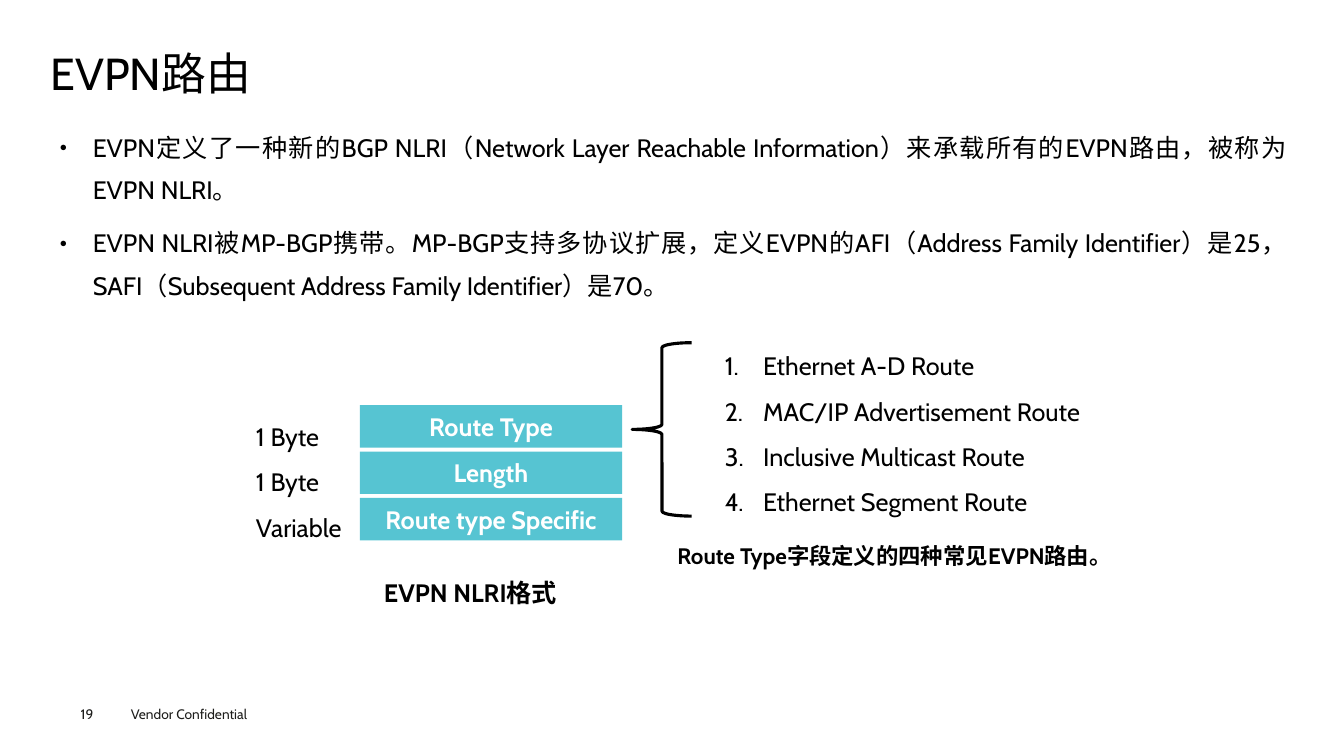
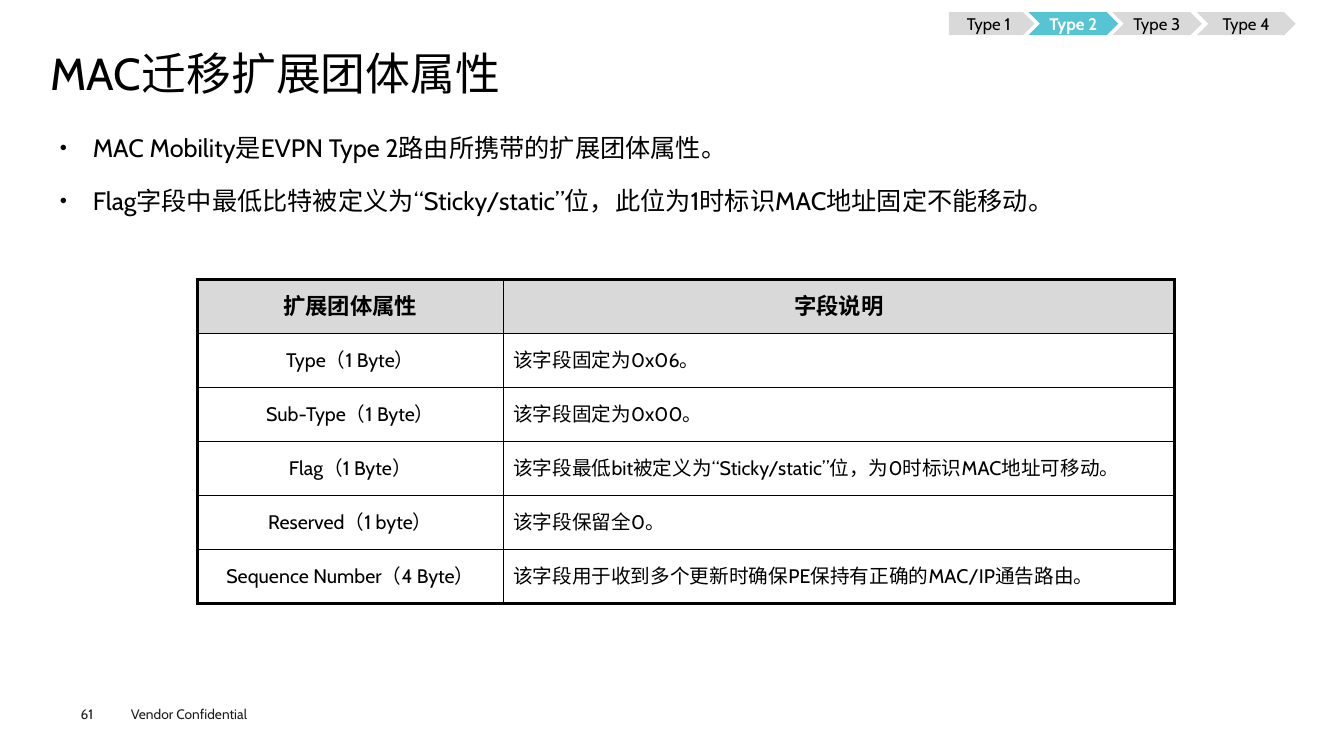
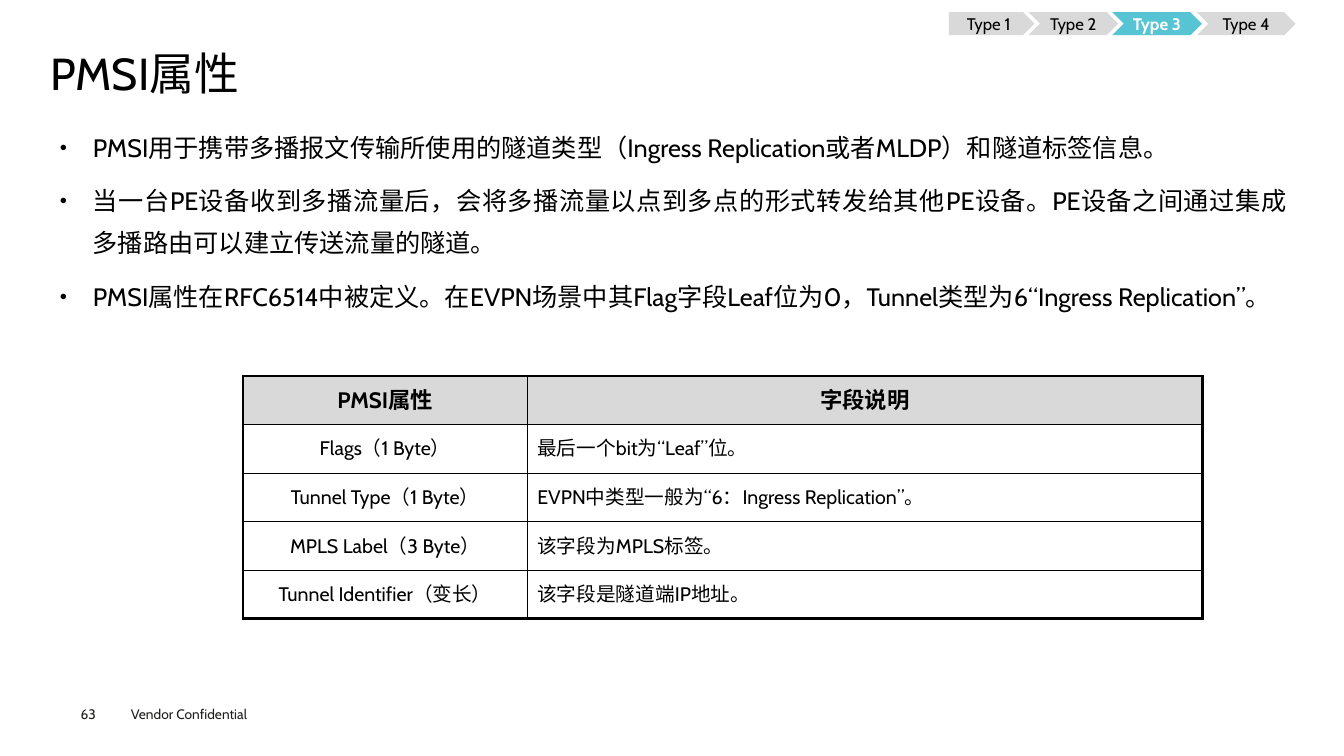
from lxml import etree
from pptx import Presentation
from pptx.dml.color import RGBColor
from pptx.enum.lang import MSO_LANGUAGE_ID
from pptx.enum.shapes import MSO_SHAPE
from pptx.enum.text import MSO_ANCHOR, MSO_AUTO_SIZE, PP_ALIGN
from pptx.oxml.ns import qn
from pptx.util import Pt

LEFT, CENTER, JUSTIFY = PP_ALIGN.LEFT, PP_ALIGN.CENTER, PP_ALIGN.JUSTIFY
TOP, MIDDLE = MSO_ANCHOR.TOP, MSO_ANCHOR.MIDDLE
NO_AUTOFIT = MSO_AUTO_SIZE.NONE
CHINESE = MSO_LANGUAGE_ID.SIMPLIFIED_CHINESE
RECTANGLE, BRACE = MSO_SHAPE.RECTANGLE, MSO_SHAPE.LEFT_BRACE
CHEVRON, PENTAGON = MSO_SHAPE.CHEVRON, MSO_SHAPE.PENTAGON

EMU_PER_PX = 9144
FONT = "Cabin"
BLACK, WHITE, INK = "000000", "FFFFFF", "1D1D1B"
TEAL, GREY = "56C4D2", "D9D9D9"
THIN, THICK = 1, 2.25
DOT = (("buSzPct", {"val": "50000"}), ("buChar", {"char": "●"}))
NUMBER = (("buFont", {"typeface": "+mj-lt"}), ("buAutoNum", {"type": "arabicPeriod"}))
ROUTE_TABS = (
    ("Type 1", PENTAGON, 941, 85),
    ("Type 2", CHEVRON, 1020, 89),
    ("Type 3", CHEVRON, 1103, 89),
    ("Type 4", CHEVRON, 1187, 98),
)


def px(length):
    """Turn pixels into EMU."""
    return length * EMU_PER_PX


def rgb(code):
    """Turn a hex string into a colour."""
    return RGBColor.from_string(code)


def assign(target, values):
    """Set each attribute named in a dict."""
    for name, value in values.items():
        setattr(target, name, value)


class Deck:
    """Hold the shared style, the presentation and the current slide."""

    def __init__(self):
        """Start an empty widescreen presentation."""
        self.presentation = Presentation()
        assign(self.presentation, {"slide_width": px(1333), "slide_height": px(750)})
        self.slide = None

    def new_slide(self, number, title, points, body_height=534):
        """Add a slide with its title, bullet list and footer."""
        self.slide = self.presentation.slides.add_slide(self.presentation.slide_layouts[1])
        heading, body = self.slide.placeholders
        self.place(heading, 50, 49, 1235, 53)
        self.fill_text(heading, [title], size=32, spacing=0.9, anchor=MIDDLE, inset=(0, 0))
        self.place(body, 50, 115, 1235, body_height)
        self.fill_text(body, points, align=JUSTIFY, spacing=1.4, before=7.9,
                       inset=(9, 4), bullet=DOT, indent=33)
        self.text("Vendor Confidential", 120, 695, 160, 27, size=9.8, color=INK)
        self.text(str(number), 80, 700, 55, 16, size=9.8, color=INK, inset=(0, 0))

    def place(self, shape, left, top, width, height):
        """Move and size a shape."""
        assign(shape, {"left": px(left), "top": px(top),
                       "width": px(width), "height": px(height)})

    def fill_text(self, shape, lines, anchor=TOP, inset=(10, 5), **style):
        """Fill the text frame of a shape."""
        frame = shape.text_frame
        side, edge = map(px, inset)
        assign(frame, {"word_wrap": True, "auto_size": NO_AUTOFIT, "vertical_anchor": anchor,
                       "margin_left": side, "margin_right": side,
                       "margin_top": edge, "margin_bottom": edge})
        self.paragraphs(frame, lines, **style)

    def paragraphs(self, frame, lines, size=18, color=BLACK, bold=False, align=LEFT,
                   spacing=1.0, before=0, bullet=(), indent=0):
        """Put formatted paragraphs into a text frame."""
        for index, line in enumerate(lines):
            paragraph = frame.add_paragraph() if index else frame.paragraphs[0]
            properties = paragraph._p.get_or_add_pPr()
            if bullet:
                properties.set("marL", str(px(indent)))
                properties.set("indent", str(-px(indent)))
            for tag, values in bullet:
                etree.SubElement(properties, qn("a:" + tag), values)
            assign(paragraph, {"alignment": align, "line_spacing": spacing,
                               "space_before": Pt(before if index else 0)})
            run = paragraph.add_run()
            run.text = line
            assign(run.font, {"name": FONT, "size": Pt(size), "bold": bold,
                              "language_id": CHINESE})
            run.font.color.rgb = rgb(color)
            etree.SubElement(run._r.get_or_add_rPr(), qn("a:ea"), {"typeface": FONT})

    def text(self, lines, left, top, width, height, **style):
        """Add a text box with one line or a list of lines."""
        box = self.slide.shapes.add_textbox(px(left), px(top), px(width), px(height))
        self.fill_text(box, [lines] if isinstance(lines, str) else lines, **style)

    def block(self, kind, label, left, top, width, height, fill, **style):
        """Add a filled shape with a centred label."""
        shape = self.slide.shapes.add_shape(kind, px(left), px(top), px(width), px(height))
        shape.shadow.inherit = False
        shape.fill.solid()
        shape.fill.fore_color.rgb = rgb(fill)
        shape.line.fill.background()
        self.fill_text(shape, [label], anchor=MIDDLE, align=CENTER, **style)

    def brace(self, left, top, width, height):
        """Add an open brace outline."""
        shape = self.slide.shapes.add_shape(BRACE, px(left), px(top), px(width), px(height))
        shape.shadow.inherit = False
        shape.fill.background()
        shape.line.color.rgb = rgb(BLACK)
        shape.line.width = Pt(THICK)

    def route_tabs(self, current):
        """Add the route type trail with the current type lit."""
        for label, kind, left, width in ROUTE_TABS:
            lit = label == current
            self.block(kind, label, left, 12, width, 23, TEAL if lit else GREY, size=12,
                       color=WHITE if lit else BLACK, bold=lit, inset=(0, 0))

    def border(self, cell, side, width):
        """Draw one border of a table cell."""
        line = etree.SubElement(cell._tc.get_or_add_tcPr(), qn("a:ln" + side),
                                {"w": str(Pt(width))})
        fill = etree.SubElement(line, qn("a:solidFill"))
        etree.SubElement(fill, qn("a:srgbClr"), {"val": BLACK})

    def field_table(self, rows, left, top, widths, height):
        """Add a field table with a grey header and a thick frame."""
        last = len(rows) - 1
        table = self.slide.shapes.add_table(len(rows), len(widths), px(left), px(top),
                                            px(sum(widths)), px(height)).table
        assign(table, {"first_row": False, "horz_banding": False})
        for column, width in zip(table.columns, widths):
            column.width = px(width)
        for r, row in enumerate(rows):
            header = r == 0
            for c, content in enumerate(row):
                cell = table.cell(r, c)
                outer = {"L": c == 0, "R": c == len(widths) - 1, "T": header, "B": r == last}
                for side, framed in outer.items():
                    self.border(cell, side, THICK if framed else THIN)
                if header:
                    cell.fill.solid()
                    cell.fill.fore_color.rgb = rgb(GREY)
                else:
                    cell.fill.background()
                cell.vertical_anchor = MIDDLE
                self.paragraphs(cell.text_frame, [content], size=16 if header else 14,
                                bold=header, align=CENTER if header or c == 0 else LEFT)


def routes(deck):
    """Build the slide on EVPN routes."""
    deck.new_slide(19, "EVPN路由", [
        "EVPN定义了一种新的BGP NLRI（Network Layer Reachable Information）来承载所有的EVPN路由，被称为EVPN NLRI。",
        "EVPN NLRI被MP-BGP携带。MP-BGP支持多协议扩展，定义EVPN的AFI（Address Family Identifier）是25，SAFI（Subsequent Address Family Identifier）是70。",
    ], body_height=186)
    fields = (("Route Type", "1 Byte"), ("Length", "1 Byte"), ("Route type Specific", "Variable"))
    for index, (field, size) in enumerate(fields):
        deck.block(RECTANGLE, field, 357, 402 + 46 * index, 260, 42, TEAL,
                   color=WHITE, bold=True)
        deck.text(size, 244, 398 + 45 * index, 135, 50, spacing=1.5)
    deck.brace(627, 340, 59, 172)
    deck.text(["Ethernet A-D Route", "MAC/IP Advertisement Route",
               "Inclusive Multicast Route", "Ethernet Segment Route"],
              709, 328, 423, 192, spacing=1.5, bullet=NUMBER, indent=38)
    deck.text("EVPN NLRI格式", 371, 553, 211, 51, spacing=1.5, bold=True)
    deck.text("Route Type字段定义的四种常见EVPN路由。", 662, 520, 482, 46,
              size=16, spacing=1.5, bold=True)


def mac_mobility(deck):
    """Build the slide on the MAC mobility attribute."""
    deck.new_slide(61, "MAC迁移扩展团体属性", [
        "MAC Mobility是EVPN Type 2路由所携带的扩展团体属性。",
        "Flag字段中最低比特被定义为“Sticky/static”位，此位为1时标识MAC地址固定不能移动。",
    ])
    deck.field_table([
        ("扩展团体属性", "字段说明"),
        ("Type（1 Byte）", "该字段固定为0x06。"),
        ("Sub-Type（1 Byte）", "该字段固定为0x00。"),
        ("Flag（1 Byte）", "该字段最低bit被定义为“Sticky/static”位，为0时标识MAC地址可移动。"),
        ("Reserved（1 byte）", "该字段保留全0。"),
        ("Sequence Number（4 Byte）", "该字段用于收到多个更新时确保PE保持有正确的MAC/IP通告路由。"),
    ], 196, 277, (303, 666), 322)
    deck.route_tabs("Type 2")


def pmsi(deck):
    """Build the slide on the PMSI attribute."""
    deck.new_slide(63, "PMSI属性", [
        "PMSI用于携带多播报文传输所使用的隧道类型（Ingress Replication或者MLDP）和隧道标签信息。",
        "当一台PE设备收到多播流量后，会将多播流量以点到多点的形式转发给其他PE设备。PE设备之间通过集成多播路由可以建立传送流量的隧道。",
        "PMSI属性在RFC6514中被定义。在EVPN场景中其Flag字段Leaf位为0，Tunnel类型为6“Ingress Replication”。",
    ])
    deck.field_table([
        ("PMSI属性", "字段说明"),
        ("Flags（1 Byte）", "最后一个bit为“Leaf”位。"),
        ("Tunnel Type（1 Byte）", "EVPN中类型一般为“6：Ingress Replication”。"),
        ("MPLS Label（3 Byte）", "该字段为MPLS标签。"),
        ("Tunnel Identifier（变长）", "该字段是隧道端IP地址。"),
    ], 241, 373, (282, 670), 241)
    deck.route_tabs("Type 3")


def main():
    """Build and save the presentation."""
    deck = Deck()
    for build in (routes, mac_mobility, pmsi):
        build(deck)
    deck.presentation.save("out.pptx")


if __name__ == "__main__":
    main()
